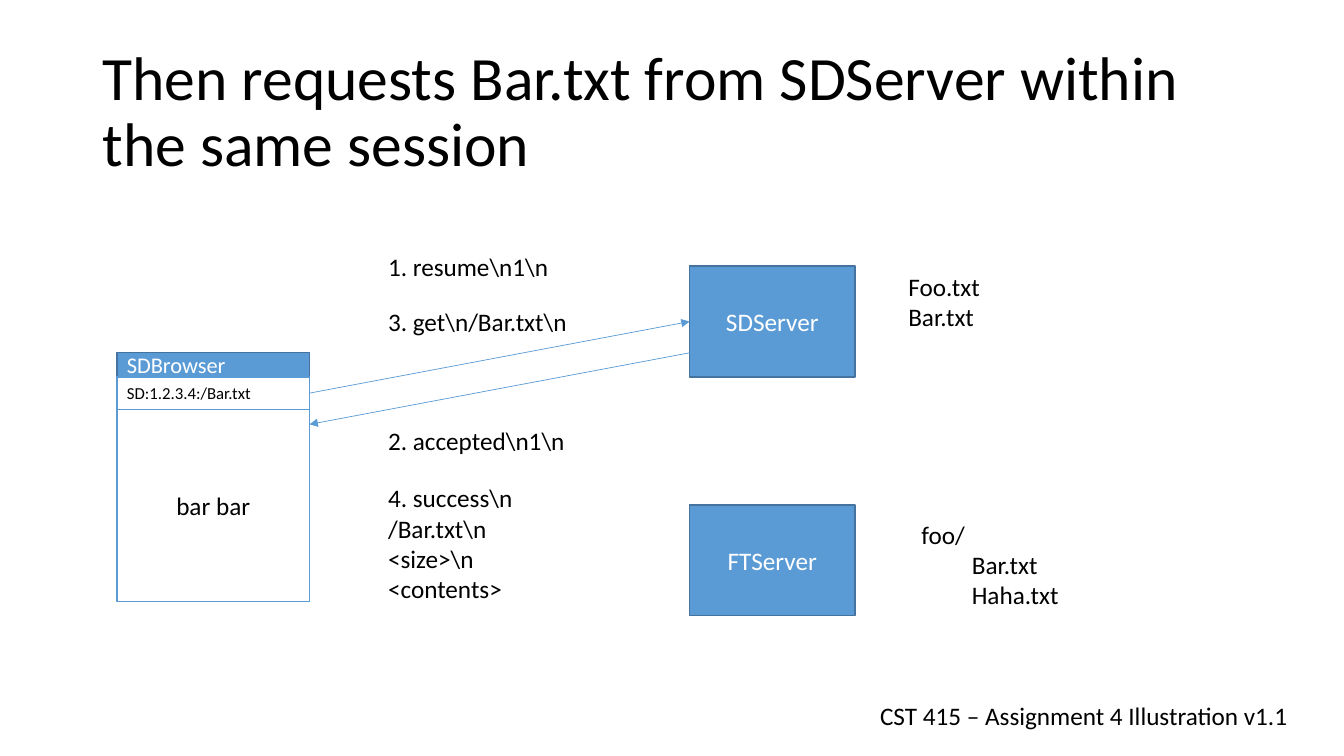
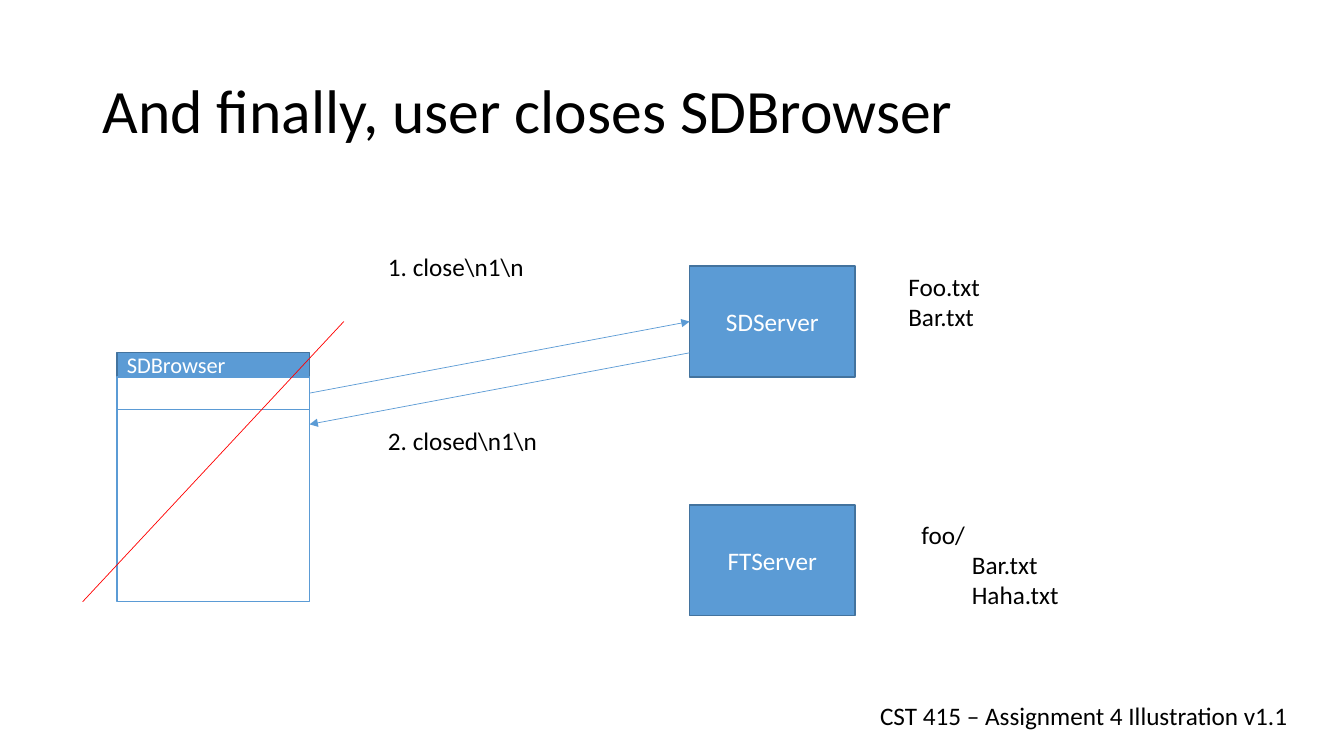
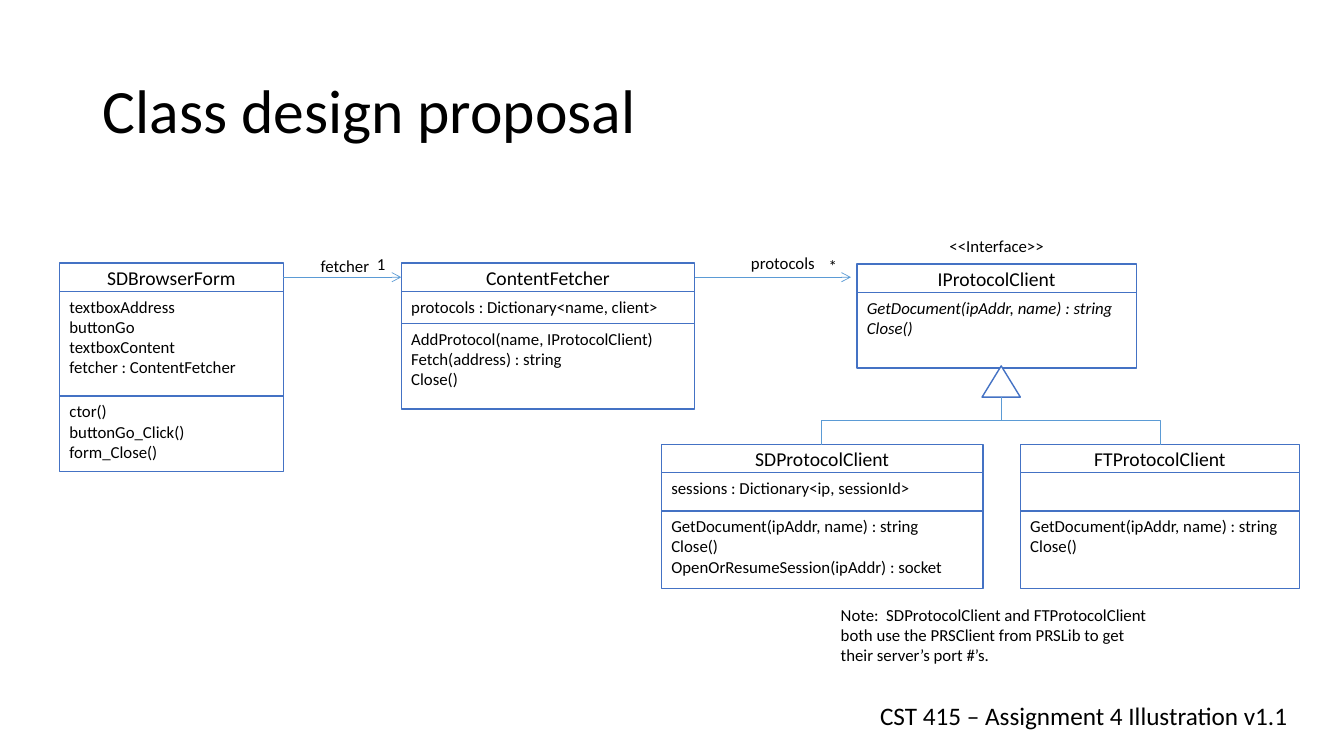
from pptx import Presentation
from pptx.dml.color import RGBColor
from pptx.enum.shapes import MSO_CONNECTOR as Link, MSO_SHAPE as Form
from pptx.enum.text import MSO_ANCHOR as Anchor, MSO_AUTO_SIZE as Auto, PP_ALIGN as Align
from pptx.oxml.ns import qn
from pptx.util import Inches, Pt
from lxml.etree import SubElement

BLUE, EDGE, INK, UML = "5B9BD5", "43739E", "000000", "4472C4"
WHITE, RED = "FFFFFF", "FF0000"
LEFT, MID, RIGHT = Align.LEFT, Align.CENTER, Align.RIGHT


def tint(code):
    return RGBColor.from_string(code)


def style(item, values):
    for key, value in values.items():
        setattr(item, key, value)


class Deck:
    font = {"name": "Calibri"}
    foot = "CST 415 – Assignment 4 Illustration v1.1"

    def __init__(self):
        self.show = Presentation()
        style(self.show, {"slide_width": Inches(13.33), "slide_height": Inches(7.5)})

    def page(self, title):
        self.slide = self.show.slides.add_slide(self.show.slide_layouts[6])
        head = self.text(0.92, 0.4, 11.5, 1.45, [title], 44, wrap=True, fit=False)
        head.text_frame.vertical_anchor = Anchor.MIDDLE
        head.text_frame.paragraphs[0].line_spacing = 0.9
        self.text(8.63, 6.9, 4.29, 0.4, [self.foot])

    def label(self, shape, lines, size, color=INK, align=LEFT, italic=False):
        frame = shape.text_frame
        frame.text = "\n".join(lines)
        for para in frame.paragraphs:
            para.alignment = align
            style(para.font, {**self.font, "size": Pt(size), "italic": italic})
            para.font.color.rgb = tint(color)

    def text(self, x, y, w, h, lines, size=18, align=LEFT, wrap=False, fit=True):
        box = self.slide.shapes.add_textbox(*map(Inches, (x, y, w, h)))
        self.label(box, lines, size, align=align)
        style(box.text_frame, {
            "word_wrap": wrap,
            "auto_size": Auto.SHAPE_TO_FIT_TEXT if fit else Auto.NONE,
        })
        return box

    def box(self, x, y, w, h, lines=(), size=18, fill=WHITE, line=BLUE, color=INK,
            align=LEFT, anchor=Anchor.MIDDLE, italic=False, form=Form.RECTANGLE):
        shape = self.slide.shapes.add_shape(form, *map(Inches, (x, y, w, h)))
        shape.shadow.inherit = False
        shape.fill.solid()
        shape.fill.fore_color.rgb = tint(fill)
        shape.line.color.rgb = tint(line)
        shape.line.width = Pt(1)
        if lines:
            self.label(shape, lines, size, color, align, italic)
            shape.text_frame.vertical_anchor = anchor
        return shape

    def line(self, x1, y1, x2, y2, color=BLUE, tip=None, start=None, end=None, kind=Link.STRAIGHT):
        link = self.slide.shapes.add_connector(kind, *map(Inches, (x1, y1, x2, y2)))
        link.line.color.rgb = tint(color)
        link.line.width = Pt(0.5)
        props = link.element.spPr
        if tip:
            SubElement(props.find(qn("a:ln")), qn("a:tailEnd"), type=tip)
        SubElement(props, qn("a:effectLst"))
        if start:
            link.begin_connect(*start)
        if end:
            link.end_connect(*end)
        return link

    def elbow(self, x1, y1, x2, y2):
        cx, cy = (x1 + x2) / 2, (y1 + y2) / 2
        dx, dy = abs(x2 - x1) / 2, (y2 - y1) / 2
        side, turn = (1, 90) if x2 < x1 else (-1, 270)
        link = self.line(cx - side * dy, cy - dx, cx + side * dy, cy + dx, kind=Link.ELBOW)
        link.element.spPr.find(qn("a:xfrm")).set("rot", str(turn * 60000))

    def scene(self, title, page, body, notes):
        self.page(title)
        x, w = 1.16, 1.91
        self.box(x, 3.5, w, 0.24, ["SDBrowser"], 16, BLUE, EDGE, WHITE)
        field = self.box(x, 3.74, w, 0.32, page, 12)
        self.box(x, 4.06, w, 1.91, body, align=MID)
        host, _ = [
            self.box(6.84, y, 1.64, 1.1, [name], 18, BLUE, EDGE, WHITE, MID)
            for name, y in (("SDServer", 2.64), ("FTServer", 5.01))
        ]
        self.text(9.04, 5.1, 2.08, 1.01, ["foo/", "\tBar.txt", "\tHaha.txt"])
        self.text(8.91, 2.64, 0.92, 0.71, ["Foo.txt", "Bar.txt"])
        self.line(3.07, 3.9, 6.84, 3.19, tip="triangle", start=(field, 3), end=(host, 1))
        self.line(6.84, 3.5, 3.07, 4.21, tip="triangle")
        for y, wide, lines in notes:
            self.text(3.75, y, wide, 0.1 + 0.3 * len(lines), lines)

    def model(self, x, y, w, name, parts, italic=False):
        top = y + 0.28
        for h, lines in parts:
            self.box(x, top, w, h, lines, 12, line=UML, anchor=Anchor.TOP, italic=italic)
            top += h
        return self.box(x, y, w, 0.28, [name], 14, line=UML, align=MID)


def main():
    deck = Deck()

    deck.scene(
        "Then requests Bar.txt from SDServer within the same session",
        ["SD:1.2.3.4:/Bar.txt"], ["bar bar"],
        [
            (2.44, 1.81, [r"1. resume\n1\n"]),
            (2.99, 1.99, [r"3. get\n/Bar.txt\n"]),
            (4.17, 1.98, [r"2. accepted\n1\n"]),
            (4.74, 1.45, [r"4. success\n", r"/Bar.txt\n", r"<size>\n", "<contents>"]),
        ],
    )

    deck.scene(
        "And finally, user closes SDBrowser", [], [],
        [(2.44, 1.56, [r"1. close\n1\n"]), (4.17, 1.7, [r"2. closed\n1\n"])],
    )
    deck.line(0.82, 5.97, 3.41, 3.19, RED)

    deck.page("Class design proposal")
    call = "GetDocument(ipAddr, name) : string"
    user = deck.model(0.59, 2.61, 2.22, "SDBrowserForm", [
        (1.04, ["textboxAddress", "buttonGo", "textboxContent", "fetcher : ContentFetcher"]),
        (0.75, ["ctor()", "buttonGo_Click()", "form_Close()"]),
    ])
    fetch = deck.model(3.98, 2.61, 2.91, "ContentFetcher", [
        (0.32, ["protocols : Dictionary<name, client>"]),
        (0.85, ["AddProtocol(name, IProtocolClient)", "Fetch(address) : string", "Close()"]),
    ])
    deck.model(8.5, 2.62, 2.77, "IProtocolClient", [(0.75, [call, "Close()"])], italic=True)
    deck.model(6.56, 4.41, 3.19, "SDProtocolClient", [
        (0.38, ["sessions : Dictionary<ip, sessionId>"]),
        (0.77, [call, "Close()", "OpenOrResumeSession(ipAddr) : socket"]),
    ])
    deck.model(10.12, 4.41, 2.77, "FTProtocolClient", [(0.38, []), (0.77, [call, "Close()"])])

    deck.box(9.74, 3.63, 0.38, 0.31, line=UML, form=Form.ISOSCELES_TRIANGLE)
    for x in (8.15, 11.51):
        deck.elbow(9.93, 3.94, x, 4.41)
    deck.line(2.81, 2.75, 3.98, 2.75, tip="arrow", start=(user, 3), end=(fetch, 1))
    deck.line(6.89, 2.75, 8.44, 2.75, tip="arrow", start=(fetch, 3))

    for x, y, w, name, align in (
        (8.5, 2.29, 2.77, "<<Interface>>", MID),
        (2.85, 2.49, 0.91, "fetcher", RIGHT),
        (3.59, 2.47, 0.38, "1", MID),
        (7.27, 2.46, 0.91, "protocols", RIGHT),
        (8.07, 2.49, 0.38, "*", MID),
    ):
        deck.text(x, y, w, 0.3, [name], 12, align, wrap=True)
    deck.text(8.24, 5.95, 3.27, 0.71, [
        "Note:  SDProtocolClient and FTProtocolClient",
        "both use the PRSClient from PRSLib to get",
        "their server’s port #’s.",
    ], 12)

    deck.show.save("out.pptx")


if __name__ == "__main__":
    main()
